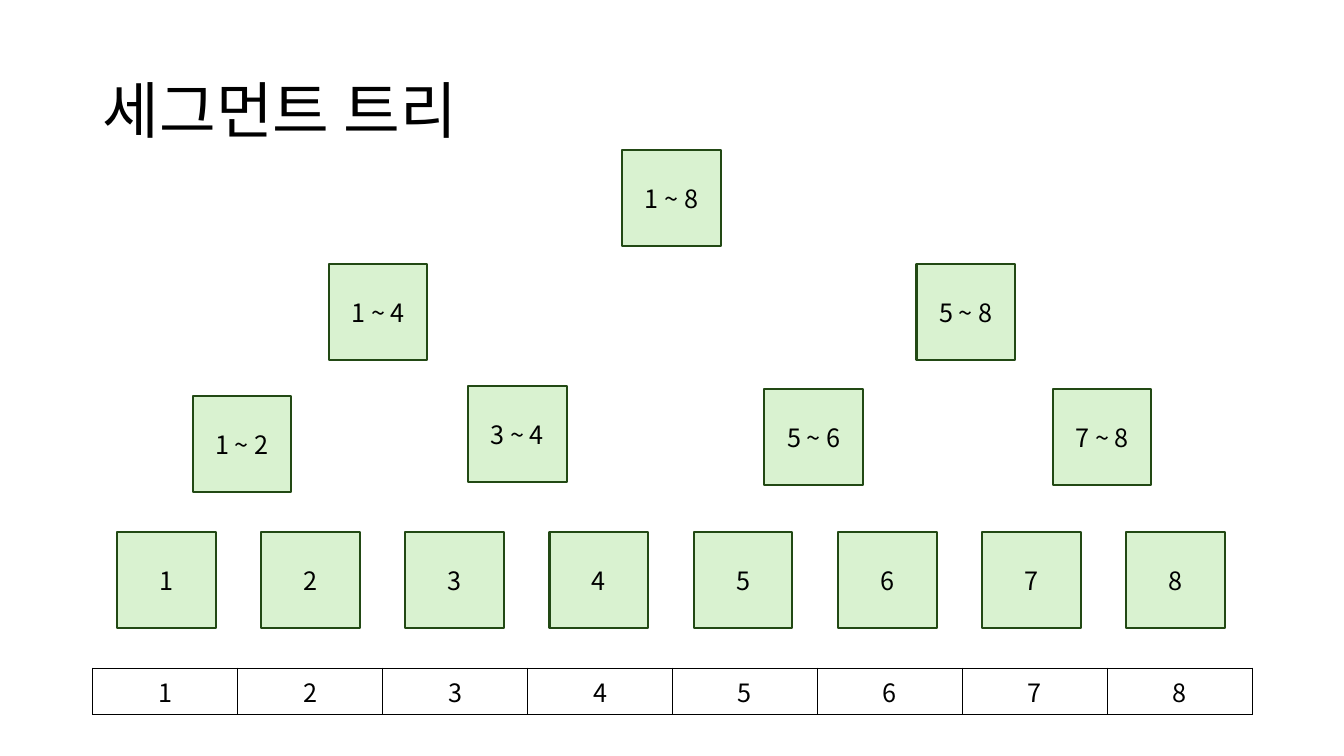
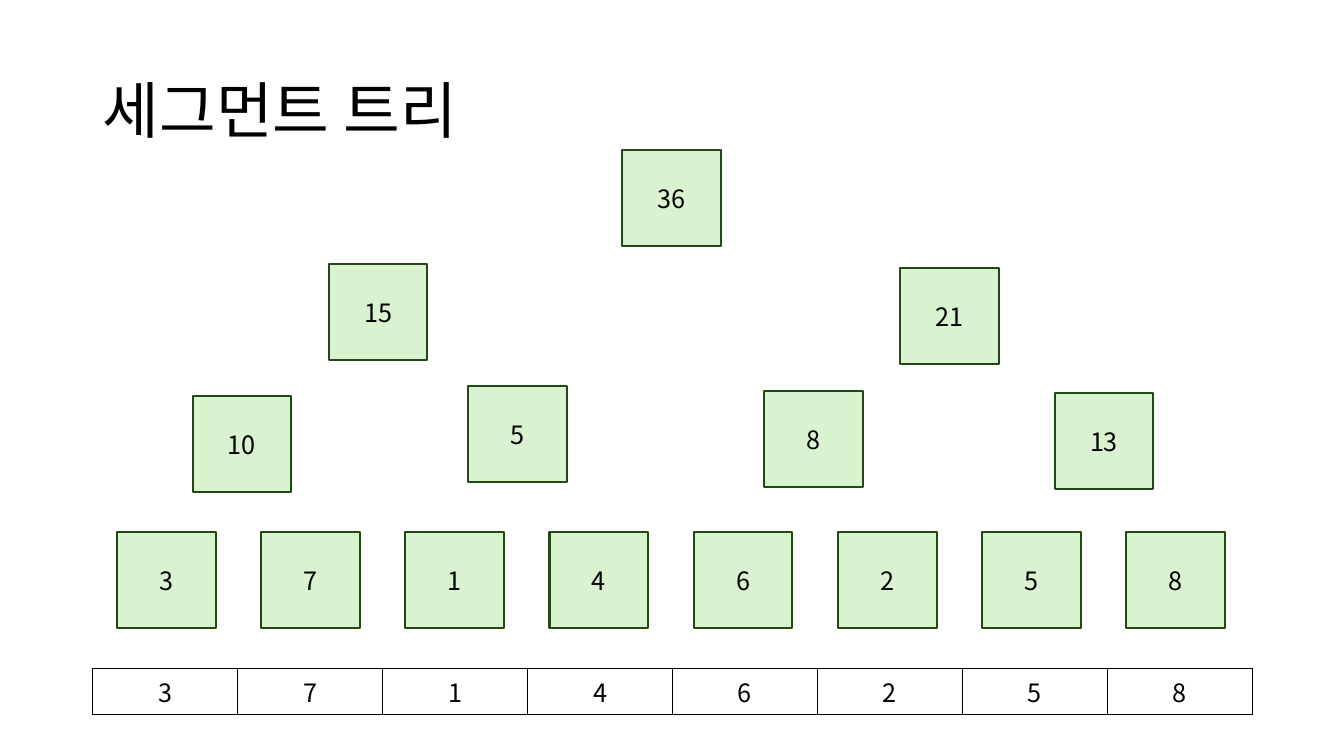
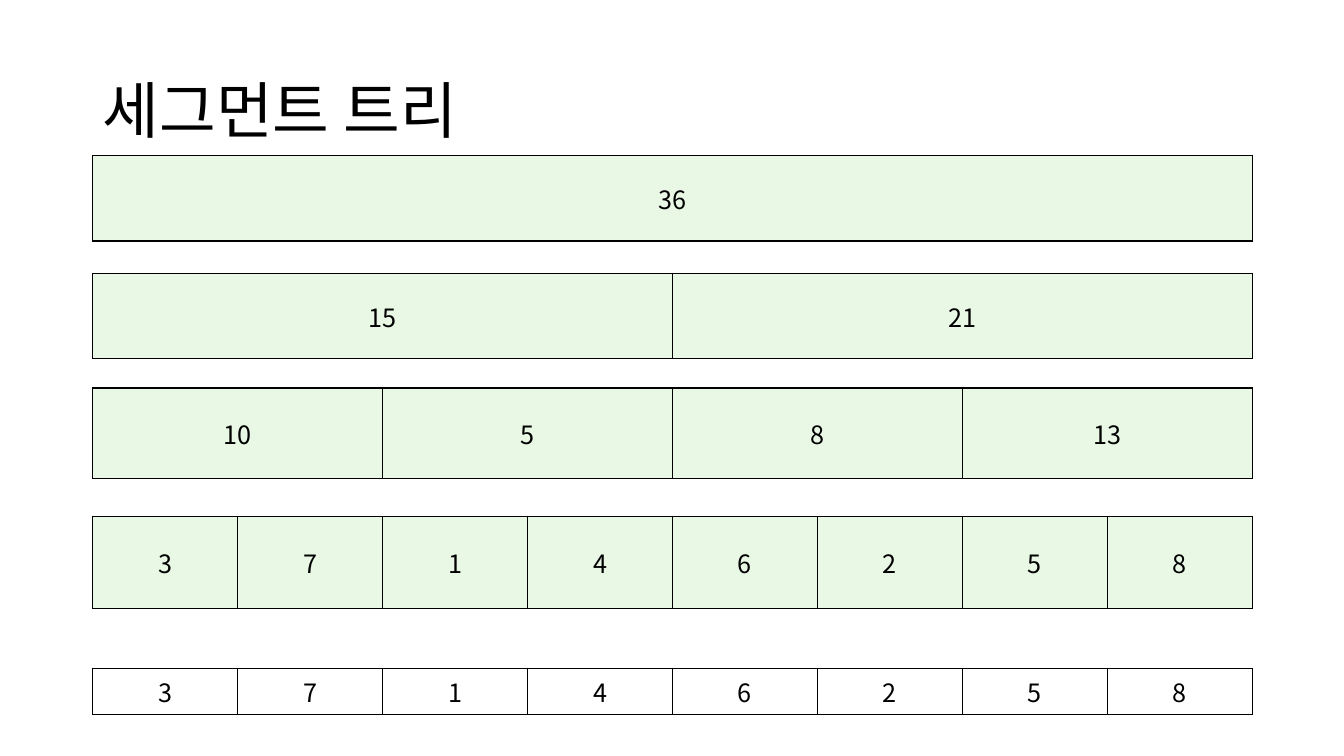
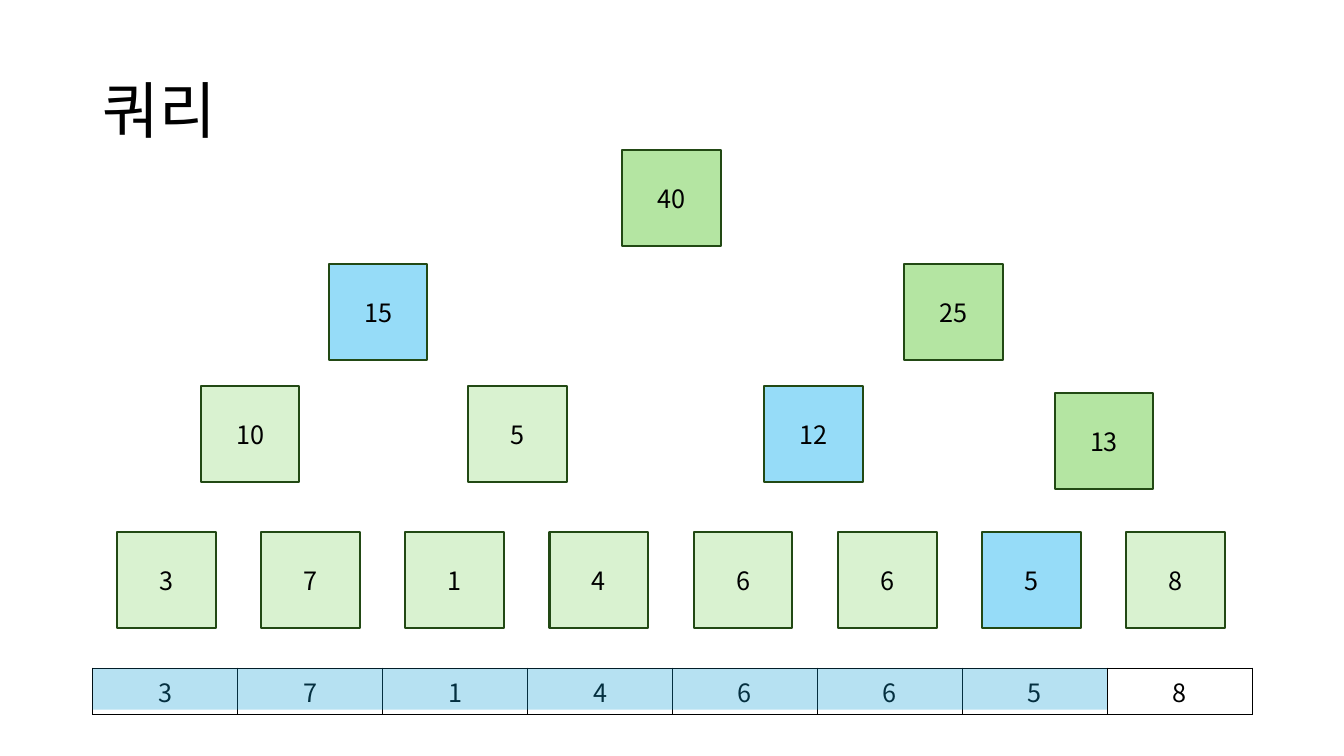
"""Build four slides that explain a segment tree and a range query."""
from pptx import Presentation as Deck
from pptx.dml.color import RGBColor as Rgb
from pptx.enum.shapes import MSO_SHAPE as Kind
from pptx.enum.text import MSO_ANCHOR as Anchor, MSO_AUTO_SIZE as Fit, PP_ALIGN as Align
from pptx.oxml import parse_xml
from pptx.oxml.ns import nsdecls
from pptx.util import Emu, Pt

FONT = "Noto Sans CJK KR"
BLACK = Rgb(0x00, 0x00, 0x00)
WHITE = Rgb(0xFF, 0xFF, 0xFF)
PALE = Rgb(0xE9, 0xF8, 0xE4)
LIGHT = Rgb(0xD9, 0xF2, 0xD0)
GREEN = Rgb(0xB4, 0xE5, 0xA2)
DARK = Rgb(0x22, 0x49, 0x14)
SKY = Rgb(0x96, 0xDC, 0xF8)
BLUE = Rgb(0x0F, 0x9E, 0xD5)

LEFT, WIDTH = 92, 1150
BASE, THIN = 663, 41
SPOTS = [(617, 149), (326, 262), (909, 262),
         (191, 393), (464, 383), (758, 386), (1044, 386)]
SPOTS += [(116 + 143 * i, 528) for i in range(8)]


def px(n):
    return Emu(n * 9144)


class Page:
    def __init__(self):
        self.deck = Deck()
        self.deck.slide_width = px(1333)
        self.deck.slide_height = px(750)
        self.slide = None

    def start(self, title):
        self.slide = self.deck.slides.add_slide(self.deck.slide_layouts[5])
        head = self.slide.shapes.title
        head.left, head.top = px(LEFT), px(40)
        head.width, head.height = px(WIDTH), px(145)
        frame = head.text_frame
        frame.auto_size = Fit.NONE
        frame.vertical_anchor = Anchor.MIDDLE
        self.label(frame, title, 44, Align.LEFT)
        frame.paragraphs[0].line_spacing = 0.9

    def label(self, frame, text, size=18, align=Align.CENTER):
        frame.text = str(text)
        para = frame.paragraphs[0]
        para.alignment = align
        for run in para.runs:
            font = run.font
            font.name, font.size, font.bold = FONT, Pt(size), False
            font.color.rgb = BLACK
            run._r.get_or_add_rPr().append(
                parse_xml(f'<a:ea {nsdecls("a")} typeface="{FONT}"/>'))

    def box(self, x, y, w, h, fill):
        shape = self.slide.shapes.add_shape(Kind.RECTANGLE, px(x), px(y), px(w), px(h))
        shape.shadow.inherit = False
        shape.fill.solid()
        shape.fill.fore_color.rgb = fill
        return shape

    def node(self, spot, text, fill):
        shape = self.box(*spot, 98, 95, fill)
        shape.line.color.rgb = DARK
        shape.line.width = Pt(1.5)
        shape.text_frame.vertical_anchor = Anchor.MIDDLE
        self.label(shape.text_frame, text)

    def tree(self, tiers, moved={}, tones={}):
        items = [item for tier in tiers for item in tier]
        for i, item in enumerate(items):
            self.node(moved.get(i, SPOTS[i]), item, tones.get(i, LIGHT))

    def strip(self, items, y=BASE, h=THIN, fill=WHITE):
        table = self.slide.shapes.add_table(
            1, len(items), px(LEFT), px(y), px(WIDTH), px(h)).table
        table.first_row = table.horz_banding = False
        for cell, item in zip(table.rows[0].cells, items):
            self.edge(cell)
            cell.fill.solid()
            cell.fill.fore_color.rgb = fill
            cell.vertical_anchor = Anchor.MIDDLE
            self.label(cell.text_frame, item)

    def edge(self, cell):
        props = cell._tc.get_or_add_tcPr()
        for side in "LRTB":
            props.append(parse_xml(
                f'<a:ln{side} {nsdecls("a")} w="{Pt(1)}"><a:solidFill>'
                f'<a:srgbClr val="{BLACK}"/></a:solidFill></a:ln{side}>'))

    def veil(self, x, y, w, h, part):
        shape = self.box(x, y, w, h, BLUE)
        shape.line.fill.background()
        color = shape._element.spPr.xpath(".//a:srgbClr")[0]
        color.append(parse_xml(f'<a:alpha {nsdecls("a")} val="{part * 1000}"/>'))


def build(leaves, join):
    tiers = [leaves]
    while len(tiers[0]) > 1:
        low = tiers[0]
        tiers.insert(0, [join(a, b) for a, b in zip(low[::2], low[1::2])])
    return tiers


def span(a, b):
    return f"{a.split()[0]} ~ {b.split()[-1]}"


def add(a, b):
    return a + b


def main():
    page = Page()
    topic = "세그먼트 트리"
    marks = list("12345678")
    data = [3, 7, 1, 4, 6, 2, 5, 8]
    sums = build(data, add)

    page.start(topic)
    page.strip(marks)
    page.tree(build(marks, span))

    page.start(topic)
    page.strip(data)
    page.tree(sums, {2: (893, 266), 5: (758, 388), 6: (1046, 390)})

    page.start(topic)
    page.strip(data)
    for tier, y, h in zip(sums, (154, 271, 385, 512), (85, 85, 90, 92)):
        page.strip(tier, y, h, PALE)

    data = [3, 7, 1, 4, 6, 6, 5, 8]
    page.start("쿼리")
    page.strip(data)
    page.veil(LEFT, BASE, 1006, THIN, 30)
    page.tree(build(data, add),
              {2: (897, 262), 3: (199, 383), 5: (758, 383), 6: (1046, 390)},
              {0: GREEN, 2: GREEN, 6: GREEN, 1: SKY, 5: SKY, 13: SKY})

    page.deck.save("out.pptx")


if __name__ == "__main__":
    main()
